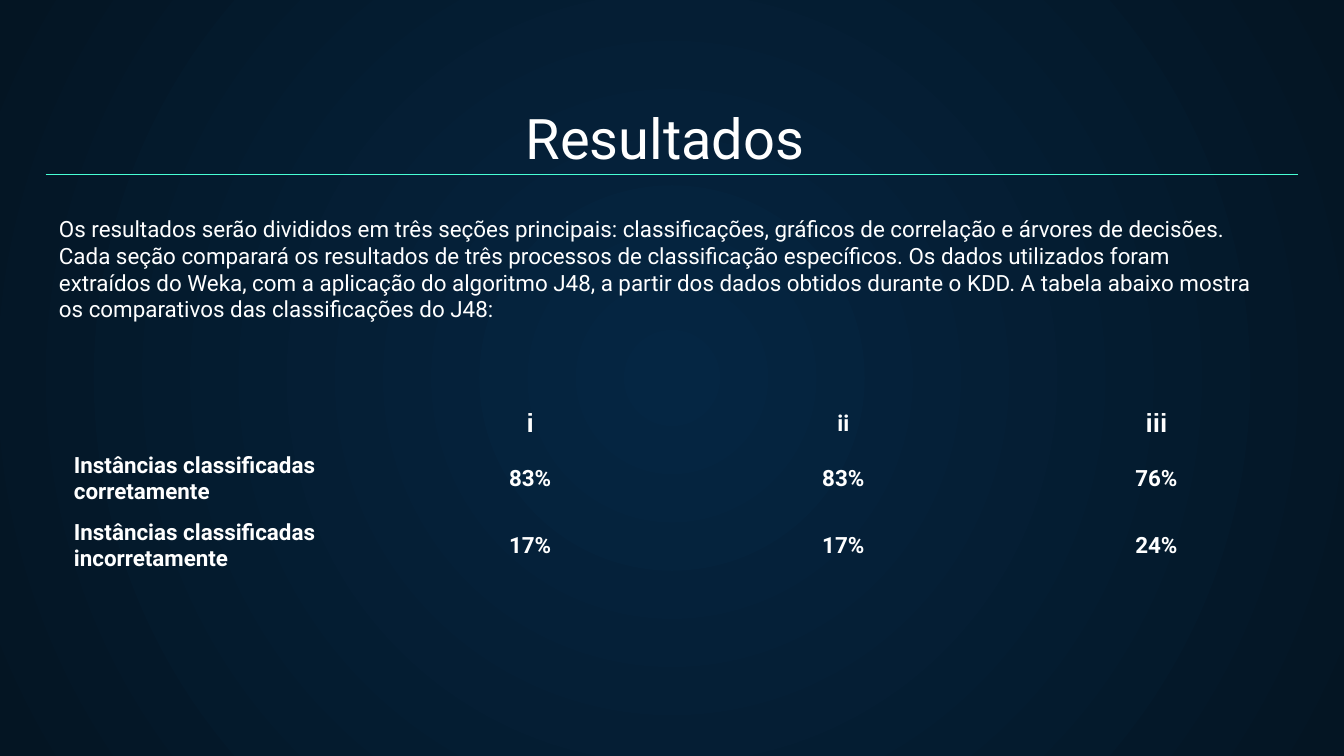
from lxml.etree import SubElement
from pptx import Presentation
from pptx.dml.color import RGBColor
from pptx.enum.text import MSO_ANCHOR as Anchor, PP_ALIGN as Align
from pptx.oxml.ns import qn
from pptx.util import Inches, Pt

WHITE = "FFFFFF"


def color(value):
    return RGBColor.from_string(value)


def write(frame, text, size, font="Roboto", bold=False, align=Align.LEFT):
    frame.text = text
    para = frame.paragraphs[0]
    para.alignment = align
    for span in para.runs:
        span.font.name = font
        span.font.size = Pt(size)
        span.font.bold = bold
        span.font.color.rgb = color(WHITE)


deck = Presentation()
deck.slide_width = Inches(10)
deck.slide_height = deck.slide_width * 9 // 16
page = deck.slides.add_slide(deck.slide_layouts[6])

margin = Inches(0.34)
content = deck.slide_width - 2 * margin

fill = page.background.fill
fill.gradient()
for stop, position, shade in zip(fill.gradient_stops, (0, 1), ("052643", "041523")):
    stop.position = position
    stop.color.rgb = color(shade)
gradient = page.background._cSld.find(".//" + qn("a:gradFill"))
gradient.remove(gradient.find(qn("a:lin")))
circle = SubElement(gradient, qn("a:path"), {"path": "circle"})
SubElement(circle, qn("a:fillToRect"), dict.fromkeys("ltrb", "50000"))

title = page.shapes.add_textbox(margin, Inches(0.71), content, Inches(0.66)).text_frame
title.word_wrap = True
title.vertical_anchor = Anchor.BOTTOM
title.margin_left = title.margin_right = Inches(0.1)
title.margin_top = title.margin_bottom = Inches(0.1)
write(title, "Resultados ", 30, align=Align.CENTER)

rule = page.shapes.add_connector(1, margin, Inches(1.3), margin + content, Inches(1.3))
rule.line.color.rgb = color("48FFD5")
rule.line.width = Pt(0.75)
SubElement(rule._element.spPr, qn("a:effectLst"))

intro = page.shapes.add_textbox(margin, Inches(1.55), Inches(9.08), Inches(1.21)).text_frame
intro.word_wrap = True
write(
    intro,
    "Os resultados serão divididos em três seções principais: classificações, "
    "gráficos de correlação e árvores de decisões. Cada seção comparará os "
    "resultados de três processos de classificação específicos. Os dados "
    "utilizados foram extraídos do Weka, com a aplicação do algoritmo J48, a "
    "partir dos dados obtidos durante o KDD. A tabela abaixo mostra os "
    "comparativos das classificações do J48:",
    12,
)

results = [
    ["", "i", "ii", "iii"],
    ["Instâncias classificadas corretamente", "83%", "83%", "76%"],
    ["Instâncias classificadas incorretamente", "17%", "17%", "24%"],
]
heights = [0.32, 0.48, 0.48]
frame = page.shapes.add_table(3, 4, Inches(0.45), Inches(2.99), content, Inches(sum(heights)))
table = frame.table
table.first_row = table.horz_banding = False
style = table._tbl.tblPr.find(qn("a:tableStyleId"))
style.text = "{2D5ABB26-0587-4C30-8999-92F81FD0307C}"

for row, (texts, height) in enumerate(zip(results, heights)):
    table.rows[row].height = Inches(height)
    for column, text in enumerate(texts):
        cell = table.cell(row, column)
        cell.fill.background()
        cell.vertical_anchor = Anchor.MIDDLE
        if row == 0:
            cell.margin_top = cell.margin_bottom = 0
        large = text in ("i", "iii")
        write(
            cell.text_frame,
            text,
            14 if large else 12,
            font="Arial" if large else "Roboto",
            bold=True,
            align=Align.CENTER if column else Align.LEFT,
        )

deck.save("out.pptx")
